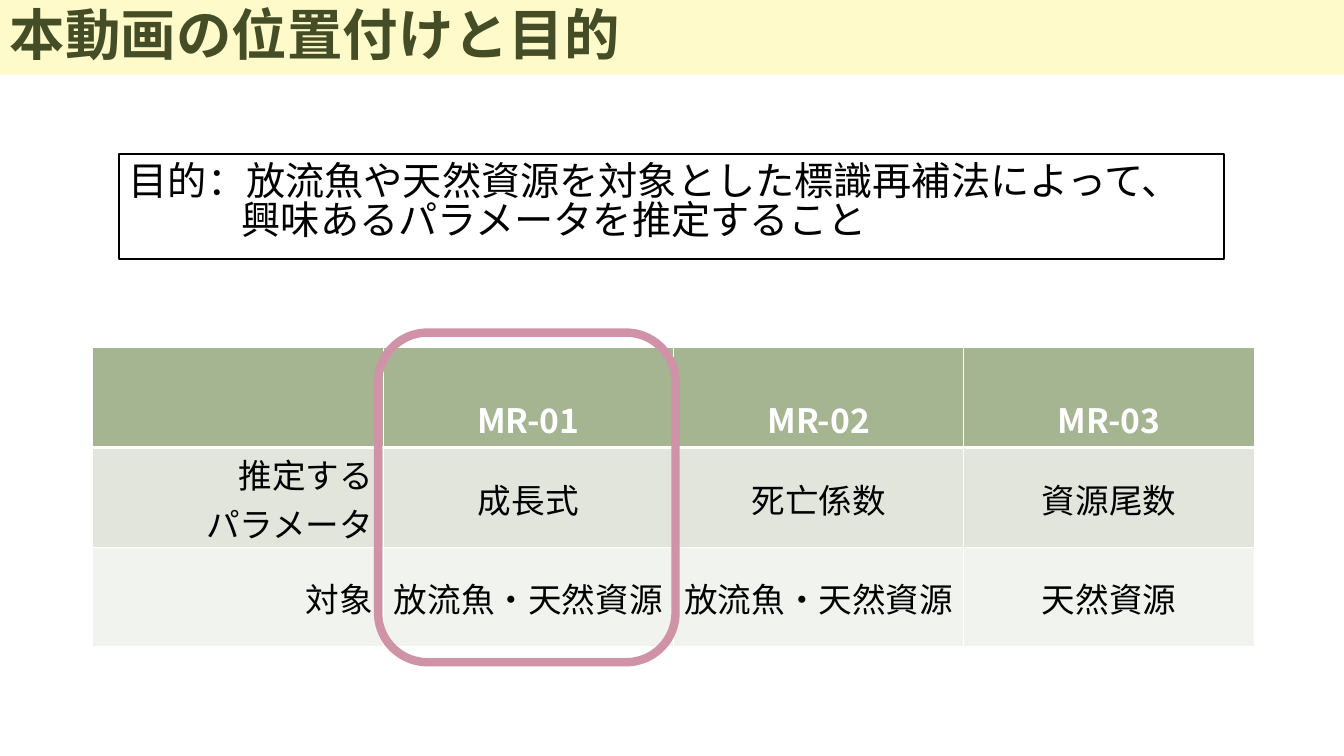
import pptx
import pptx.util
import pptx.dml.color
import pptx.enum.shapes
import pptx.enum.text
import pptx.oxml.ns
from lxml import etree

TITLE = "本動画の位置付けと目的"
PURPOSE = "目的：放流魚や天然資源を対象とした標識再補法によって、興味あるパラメータを推定すること"
ROWS = [
    ["", "MR-01", "MR-02", "MR-03"],
    ["推定する\nパラメータ", "成長式", "死亡係数", "資源尾数"],
    ["対象", "放流魚・天然資源", "放流魚・天然資源", "天然資源"],
]
FONT = "Noto Sans CJK JP"
COLOURS = {
    "banner": "FEFAC9", "title": "444D26", "ink": "000000", "paper": "FFFFFF",
    "header": "A5B592", "band": "E1E5DC", "pale": "F0F3EE", "highlight": "D092A7",
}
ROW_FILLS = ["header", "band", "pale"]
COLUMN_WIDTH, ROW_HEIGHT = 2.88, 0.99

Inches, Pt = pptx.util.Inches, pptx.util.Pt
Anchor, Align = pptx.enum.text.MSO_ANCHOR, pptx.enum.text.PP_ALIGN
Shape = pptx.enum.shapes.MSO_SHAPE
qn = pptx.oxml.ns.qn


def rgb(name):
    return pptx.dml.color.RGBColor.from_string(COLOURS[name])


def apply(target, values):
    for name, value in values.items():
        setattr(target, name, value)


def write(frame, text, size, colour, bold=False, **para_format):
    frame.text = text
    for para in frame.paragraphs:
        apply(para, para_format)
        for span in para.runs:
            apply(span.font, {"size": Pt(size), "bold": bold, "name": FONT})
            span.font.color.rgb = rgb(colour)
            etree.SubElement(span.font._element, qn("a:ea"), typeface=FONT)


def add_box(page, kind, place, fill=None, line=None, width=1):
    box = page.shapes.add_shape(kind, *map(Inches, place))
    box.shadow.inherit = False
    if fill:
        box.fill.solid()
        box.fill.fore_color.rgb = rgb(fill)
    else:
        box.fill.background()
    if line:
        box.line.color.rgb = rgb(line)
        box.line.width = Pt(width)
    else:
        box.line.fill.background()
    return box


def set_borders(cell, widths):
    properties = cell._tc.get_or_add_tcPr()
    for position, (side, width) in enumerate(widths.items()):
        border = etree.Element(qn("a:ln" + side), w=str(Pt(width)))
        fill = etree.SubElement(border, qn("a:solidFill"))
        etree.SubElement(fill, qn("a:srgbClr"), val=COLOURS["paper"])
        properties.insert(position, border)


def add_parameter_table(page):
    count = len(ROWS[0])
    table = page.shapes.add_table(
        len(ROWS), count, Inches(0.92), Inches(3.45),
        Inches(COLUMN_WIDTH * count), Inches(ROW_HEIGHT * len(ROWS))).table
    for column in table.columns:
        column.width = Inches(COLUMN_WIDTH)
    for r, texts in enumerate(ROWS):
        table.rows[r].height = Inches(ROW_HEIGHT)
        header = r == 0
        for c, text in enumerate(texts):
            cell = table.cell(r, c)
            cell.fill.solid()
            cell.fill.fore_color.rgb = rgb(ROW_FILLS[r])
            apply(cell, {
                "vertical_anchor": Anchor.BOTTOM if header else Anchor.MIDDLE,
                "margin_top": Inches(0.02),
                "margin_bottom": Inches(0.04 if header else 0),
            })
            write(cell.text_frame, text, 24, "paper" if header else "ink", header,
                  alignment=Align.CENTER if c else Align.RIGHT)
            set_borders(cell, {"L": 1, "R": 1, "T": 3 if r == 1 else 1,
                               "B": 3 if header else 1})


def main():
    deck = pptx.Presentation()
    apply(deck, {"slide_width": Inches(13.33), "slide_height": Inches(7.5)})
    page = deck.slides.add_slide(deck.slide_layouts[6])

    banner = add_box(page, Shape.RECTANGLE, (0, 0, 13.33, 0.74), "banner")
    apply(banner.text_frame, {"word_wrap": True, "vertical_anchor": Anchor.MIDDLE})
    write(banner.text_frame, TITLE, 39.6, "title", True,
          alignment=Align.LEFT, line_spacing=0.9)

    purpose = add_box(page, Shape.RECTANGLE, (1.18, 1.53, 10.96, 1.04), "paper", "ink")
    apply(purpose.text_frame, {
        "word_wrap": True, "vertical_anchor": Anchor.TOP,
        "margin_top": Inches(0.1), "margin_bottom": Inches(0.02),
        "auto_size": pptx.enum.text.MSO_AUTO_SIZE.SHAPE_TO_FIT_TEXT,
    })
    write(purpose.text_frame, PURPOSE, 28, "ink",
          alignment=Align.LEFT, line_spacing=0.83)
    indent = purpose.text_frame.paragraphs[0]._p.get_or_add_pPr()
    indent.set("marL", str(Inches(1.12)))
    indent.set("indent", str(Inches(-1.12)))

    add_parameter_table(page)
    add_box(page, Shape.ROUNDED_RECTANGLE, (3.75, 3.3, 2.95, 3.27),
            line="highlight", width=6)
    deck.save("out.pptx")


if __name__ == "__main__":
    main()
